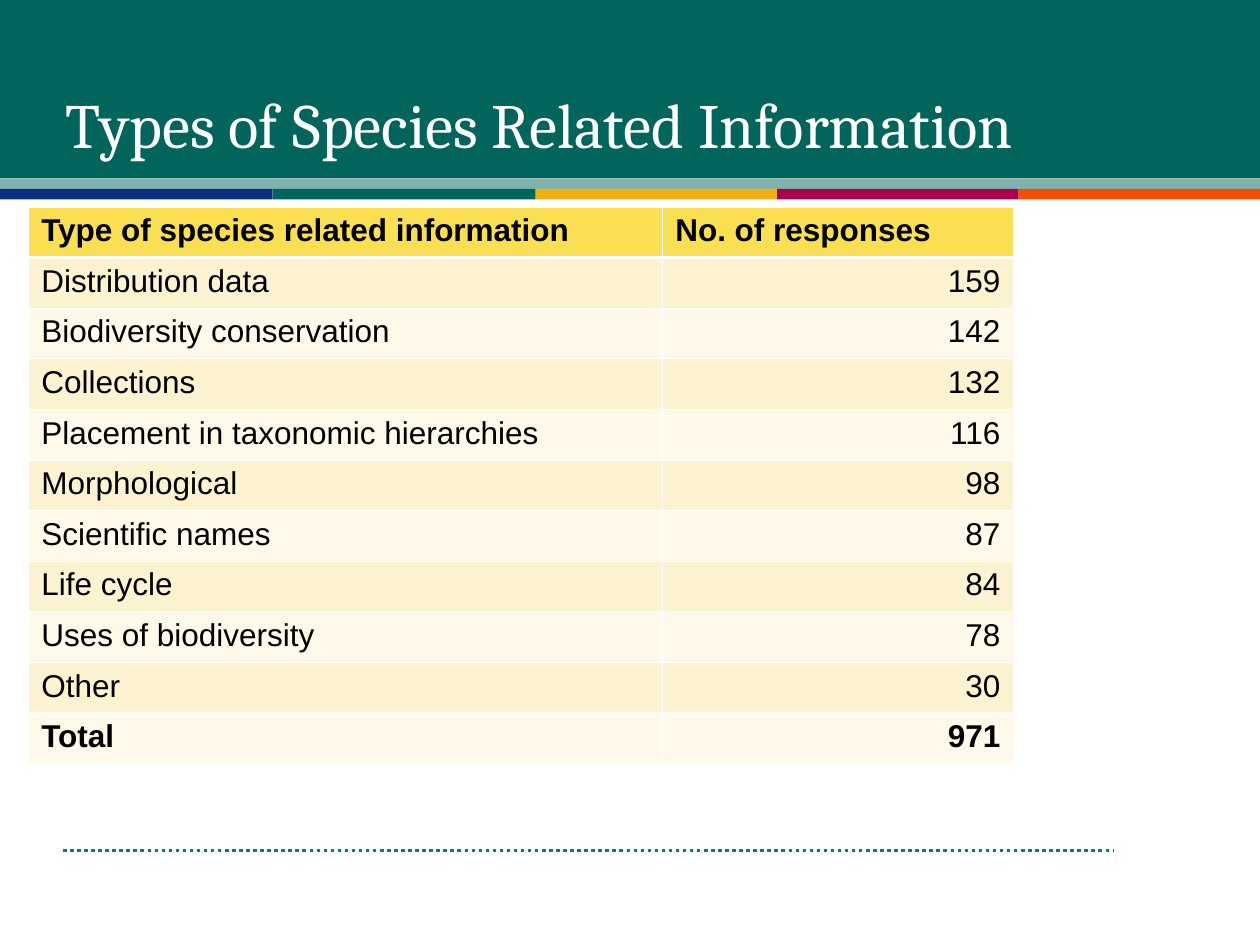
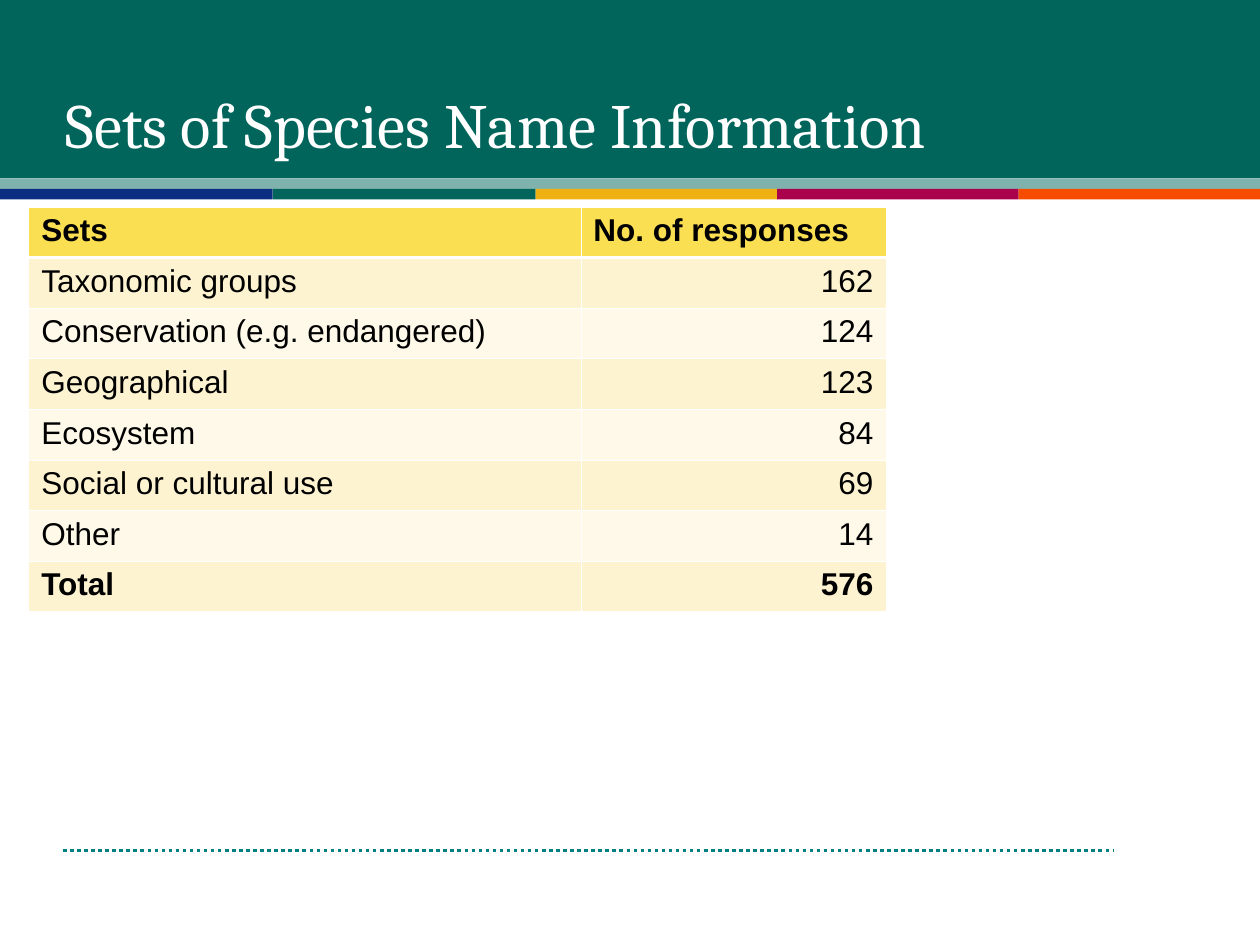
"""Build two slides that tabulate survey responses about species information."""
from dataclasses import dataclass
from itertools import accumulate

from lxml import etree
from pptx import Presentation
from pptx.dml.color import RGBColor
from pptx.enum import dml, shapes, text
from pptx.oxml import ns
from pptx.util import Cm, Pt

WHITE = RGBColor(0xFF, 0xFF, 0xFF)
BLACK = RGBColor(0x00, 0x00, 0x00)
GREEN = RGBColor(0x01, 0x65, 0x5B)
PALE_GREEN = RGBColor(0x80, 0xB2, 0xAD)
NAVY = RGBColor(0x0C, 0x2E, 0x82)
GOLD = RGBColor(0xEE, 0xB1, 0x11)
CRIMSON = RGBColor(0xAA, 0x01, 0x4C)
ORANGE = RGBColor(0xF5, 0x4C, 0x00)
TEAL = RGBColor(0x00, 0x80, 0x80)
HEADER_FILL = RGBColor(0xFB, 0xDF, 0x53)
ROW_FILLS = (RGBColor(0xFE, 0xF9, 0xE9), RGBColor(0xFD, 0xF3, 0xD1))

TITLE_FONT, TABLE_FONT = "Cambria", "Arial"
SLIDE_W, SLIDE_H = 25.4, 19.05
STRIPE_TOP, STRIPE_H = 3.81, 0.21
ROW_H = 1.02
THIN, THICK = Pt(0.45), Pt(1.47)


@dataclass(frozen=True)
class Band:
    left: float
    top: float
    width: float
    height: float
    color: RGBColor


@dataclass(frozen=True)
class ResponseSlide:
    title: str
    header: str
    col_widths: tuple[float, float]
    counts: dict[str, int]


STRIPE_COLORS = (NAVY, GREEN, GOLD, CRIMSON, ORANGE)
STRIPE_WIDTHS = (5.5, 5.3, *[(SLIDE_W - 10.8) / 3] * 3)
STRIPE_LEFTS = accumulate(STRIPE_WIDTHS[:-1], initial=0)
BANDS = (
    Band(0, 0, SLIDE_W, STRIPE_TOP - STRIPE_H, GREEN),
    Band(0, STRIPE_TOP - STRIPE_H, SLIDE_W, STRIPE_H, PALE_GREEN),
    *(Band(left, STRIPE_TOP, width, STRIPE_H, color)
      for left, width, color in zip(STRIPE_LEFTS, STRIPE_WIDTHS, STRIPE_COLORS)),
)

SLIDES = (
    ResponseSlide(
        "Types of Species Related Information",
        "Type of species related information",
        (12.78, 7.06),
        {
            "Distribution data": 159,
            "Biodiversity conservation": 142,
            "Collections": 132,
            "Placement in taxonomic hierarchies": 116,
            "Morphological": 98,
            "Scientific names": 87,
            "Life cycle": 84,
            "Uses of biodiversity": 78,
            "Other": 30,
            "Total": 971,
        },
    ),
    ResponseSlide(
        "Sets of Species Name Information",
        "Sets",
        (11.13, 6.15),
        {
            "Taxonomic groups": 162,
            "Conservation (e.g. endangered)": 124,
            "Geographical": 123,
            "Ecosystem": 84,
            "Social or cultural use": 69,
            "Other": 14,
            "Total": 576,
        },
    ),
)


def style_font(p, name: str, size: int, color: RGBColor, bold: bool = False) -> None:
    """Format every run of a paragraph."""
    for r in p.runs:
        r.font.name = name
        r.font.size = Pt(size)
        r.font.bold = bold
        r.font.color.rgb = color


def draw_band(s, band: Band) -> None:
    """Draw one flat coloured band."""
    sp = s.shapes.add_shape(shapes.MSO_SHAPE.RECTANGLE, Cm(band.left), Cm(band.top),
                            Cm(band.width), Cm(band.height))
    sp.shadow.inherit = False
    sp.fill.solid()
    sp.fill.fore_color.rgb = band.color
    sp.line.fill.background()


def draw_footer_rule(s) -> None:
    """Draw the dotted rule near the bottom edge."""
    ln = s.shapes.add_connector(shapes.MSO_CONNECTOR.STRAIGHT,
                                Cm(1.27), Cm(17.15), Cm(22.43), Cm(17.15))
    ln.line.color.rgb = TEAL
    ln.line.width = Pt(2)
    ln.line.dash_style = dml.MSO_LINE.ROUND_DOT
    etree.SubElement(ln.element.spPr, ns.qn("a:effectLst"))


def set_title(s, title: str) -> None:
    """Fill the title placeholder and bring it in front of the bands."""
    sp = s.shapes.title
    sp.left, sp.top, sp.width, sp.height = Cm(1.07), Cm(0.84), Cm(22.86), Cm(3.28)
    tf = sp.text_frame
    tf.text = title
    tf.auto_size = text.MSO_AUTO_SIZE.NONE
    tf.vertical_anchor = text.MSO_ANCHOR.MIDDLE
    p = tf.paragraphs[0]
    p.alignment = text.PP_ALIGN.LEFT
    style_font(p, TITLE_FONT, 36, WHITE)
    s.shapes.element.append(sp.element)


def set_borders(cell, top: int, bottom: int) -> None:
    """Give a cell white borders, with their own top and bottom widths."""
    tc_pr = cell._tc.get_or_add_tcPr()
    for side, width in (("L", THIN), ("R", THIN), ("T", top), ("B", bottom)):
        ln = etree.SubElement(tc_pr, ns.qn(f"a:ln{side}"), w=str(int(width)))
        fill = etree.SubElement(ln, ns.qn("a:solidFill"))
        etree.SubElement(fill, ns.qn("a:srgbClr"), val=str(WHITE))


def draw_table(s, spec: ResponseSlide) -> None:
    """Draw the table of response counts."""
    rows = [(spec.header, "No. of responses"), *spec.counts.items()]
    tbl = s.shapes.add_table(len(rows), 2, Cm(0.58), Cm(4.17),
                             Cm(sum(spec.col_widths)), Cm(ROW_H * len(rows))).table
    for col, width in zip(tbl.columns, spec.col_widths):
        col.width = Cm(width)
    for i, row in enumerate(rows):
        tbl.rows[i].height = Cm(ROW_H)
        for j, value in enumerate(row):
            cell = tbl.cell(i, j)
            set_borders(cell, THICK if i == 1 else THIN, THICK if i == 0 else THIN)
            cell.fill.solid()
            cell.fill.fore_color.rgb = ROW_FILLS[i % 2] if i else HEADER_FILL
            cell.text = str(value)
            p = cell.text_frame.paragraphs[0]
            p.alignment = text.PP_ALIGN.RIGHT if i and j else text.PP_ALIGN.LEFT
            style_font(p, TABLE_FONT, 18, BLACK, bold=i == 0 or row[0] == "Total")


def main() -> None:
    """Build the slides and save them."""
    prs = Presentation()
    prs.slide_width, prs.slide_height = Cm(SLIDE_W), Cm(SLIDE_H)
    for spec in SLIDES:
        s = prs.slides.add_slide(prs.slide_layouts.get_by_name("Title Only"))
        draw_footer_rule(s)
        for band in BANDS:
            draw_band(s, band)
        set_title(s, spec.title)
        draw_table(s, spec)
    prs.save("out.pptx")


if __name__ == "__main__":
    main()
